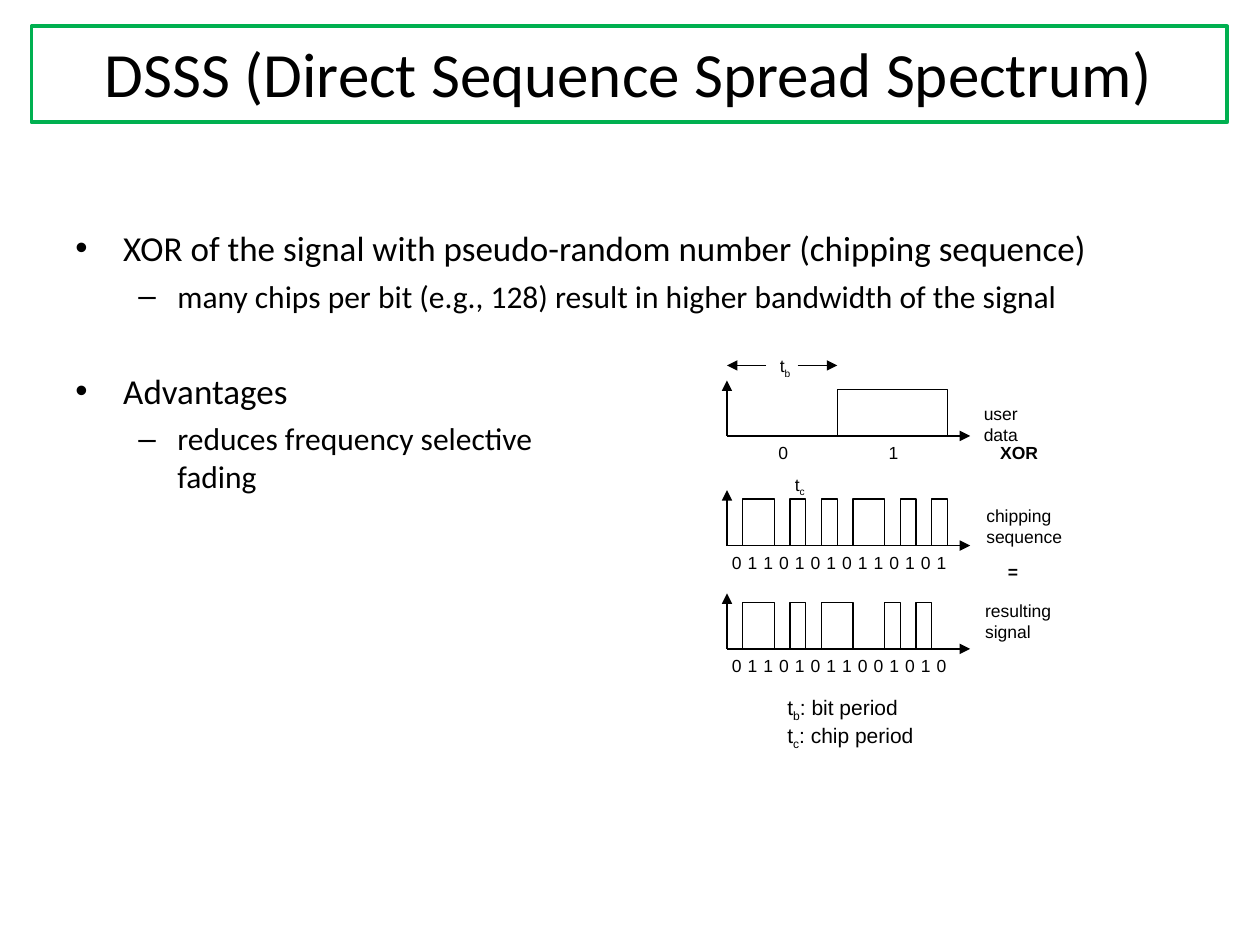
"""Build the DSSS slide with its bullet list and three-row timing diagram."""
import lxml.etree
import pptx
import pptx.dml.color
import pptx.enum.shapes
import pptx.enum.text
import pptx.oxml.ns
import pptx.util

COLORS = {"ink": "000000", "frame": "00B050"}
WIDTH, HEIGHT = 10, 7.5
LEFT, CHIP, PULSE = 5.77, 0.125, 0.37
AXIS_WIDTH, AXIS_HEIGHT = 1.93, 0.44
Inches = pptx.util.Inches
qn = pptx.oxml.ns.qn

deck = pptx.Presentation()
deck.slide_width, deck.slide_height = Inches(WIDTH), Inches(HEIGHT)
page = deck.slides.add_slide(deck.slide_layouts[6])


def add_text(lines, left, top, width, height, size=10, font="Arial", bold=False, wrap=False):
    """Add a text box; each line is a string whose odd parts between underscores are subscripts."""
    box = page.shapes.add_textbox(Inches(left), Inches(top), Inches(width), Inches(height))
    frame = box.text_frame
    frame.word_wrap = wrap
    if not wrap:
        frame.auto_size = pptx.enum.text.MSO_AUTO_SIZE.SHAPE_TO_FIT_TEXT
    for row, line in enumerate(lines):
        para = frame.add_paragraph() if row else frame.paragraphs[0]
        if "\v" in line:
            para.text = line
        else:
            for index, part in enumerate(line.split("_")):
                if part:
                    span = para.add_run()
                    span.text = part
                    if index % 2:
                        span.font._element.set("baseline", "-25000")
        for span in para.runs:
            span.font.size = pptx.util.Pt(size)
            span.font.name = font
            span.font.bold = bold
            span.font.color.rgb = pptx.dml.color.RGBColor.from_string(COLORS["ink"])
    return frame


def add_arrow(x1, y1, x2, y2):
    """Add a thin black line with a triangle at its end point."""
    line = page.shapes.add_connector(
        pptx.enum.shapes.MSO_CONNECTOR.STRAIGHT, Inches(x1), Inches(y1), Inches(x2), Inches(y2))
    line.line.width = pptx.util.Pt(0.74)
    line.line.color.rgb = pptx.dml.color.RGBColor.from_string(COLORS["ink"])
    lxml.etree.SubElement(line.line._get_or_add_ln(), qn("a:tailEnd"), type="triangle")
    lxml.etree.SubElement(line._element.spPr, qn("a:effectLst"))


title = add_text(["DSSS (Direct Sequence Spread Spectrum)"], 0.49, -0.05, 9, 1.25, 36, "Calibri", wrap=True)
title.vertical_anchor = pptx.enum.text.MSO_ANCHOR.MIDDLE
title.paragraphs[0].alignment = pptx.enum.text.PP_ALIGN.CENTER

bullets = [
    (0, 5, "XOR of the signal with pseudo-random number (chipping sequence)"),
    (1, 4.5, "many chips per bit (e.g., 128) result in higher bandwidth of the signal"),
    (0, 31.5, "Advantages"),
    (1, 4.5, "reduces frequency selective \vfading"),
]
levels = [(20, 0.38, -0.38, "•"), (18, 0.81, -0.31, "–")]
body = add_text([text for _, _, text in bullets], 0.5, 1.75, 9, 4.95, 20, "Calibri", wrap=True)
for para, (level, gap, _) in zip(body.paragraphs, bullets):
    size, margin, indent, mark = levels[level]
    para.level = level
    para.space_before = pptx.util.Pt(gap)
    for span in para.runs:
        span.font.size = pptx.util.Pt(size)
    properties = para._p.get_or_add_pPr()
    properties.set("marL", str(Inches(margin)))
    properties.set("indent", str(Inches(indent)))
    lxml.etree.SubElement(properties, qn("a:buFont"), typeface="Arial")
    lxml.etree.SubElement(properties, qn("a:buChar"), char=mark)

signals = [
    ("01", 3.46, 7 * CHIP, 0.31),
    ("01101010110101", 4.33, CHIP, -0.06),
    ("01101011001010", 5.15, CHIP, -0.06),
]
for bits, base, step, offset in signals:
    add_arrow(LEFT, base, LEFT, base - AXIS_HEIGHT)
    add_arrow(LEFT, base, LEFT + AXIS_WIDTH, base)
    points = []
    for index, bit in enumerate(bits):
        left = LEFT + index * step
        add_text([bit], left + offset, base, 0.27, 0.27)
        if bit == "1":
            if bits[index - 1] == "0":
                points += [(left, base), (left, base - PULSE)]
            if bits[index + 1:index + 2] != "1":
                points += [(left + step, base - PULSE), (left + step, base)]
    corners = [(Inches(x), Inches(y)) for x, y in points]
    builder = page.shapes.build_freeform(*corners[0])
    builder.add_line_segments(corners[1:], close=False)
    wave = builder.convert_to_shape()
    wave.shadow.inherit = False
    wave.fill.background()
    wave.line.width = pptx.util.Pt(0.74)
    wave.line.color.rgb = pptx.dml.color.RGBColor.from_string(COLORS["ink"])

labels = [
    (["user data"], 7.71, 3.15, 0.77, 0.27, 10, False),
    (["XOR"], 7.84, 3.46, 0.5, 0.27, 10, True),
    (["chipping ", "sequence"], 7.73, 3.96, 0.8, 0.44, 10, False),
    (["="], 7.9, 4.4, 0.28, 0.27, 10, True),
    (["resulting", "signal"], 7.72, 4.71, 0.72, 0.44, 10, False),
    (["t_b_"], 6.09, 2.77, 0.28, 0.29, 10, False),
    (["t_c_"], 6.21, 3.71, 0.28, 0.29, 10, False),
    (["t_b_: bit period", "t_c_: chip period"], 6.15, 5.46, 1.2, 0.56, 12, False),
]
for lines, left, top, width, height, size, bold in labels:
    add_text(lines, left, top, width, height, size, bold=bold)

add_arrow(LEFT + 0.56, 2.9, LEFT + 7 * CHIP, 2.9)
add_arrow(LEFT + 0.31, 2.9, LEFT, 2.9)

border = page.shapes.add_shape(
    pptx.enum.shapes.MSO_SHAPE.RECTANGLE, Inches(0.25), Inches(0.21), Inches(9.49), Inches(0.76))
border.shadow.inherit = False
border.fill.background()
border.line.width = pptx.util.Pt(2.24)
border.line.color.rgb = pptx.dml.color.RGBColor.from_string(COLORS["frame"])

deck.save("out.pptx")
